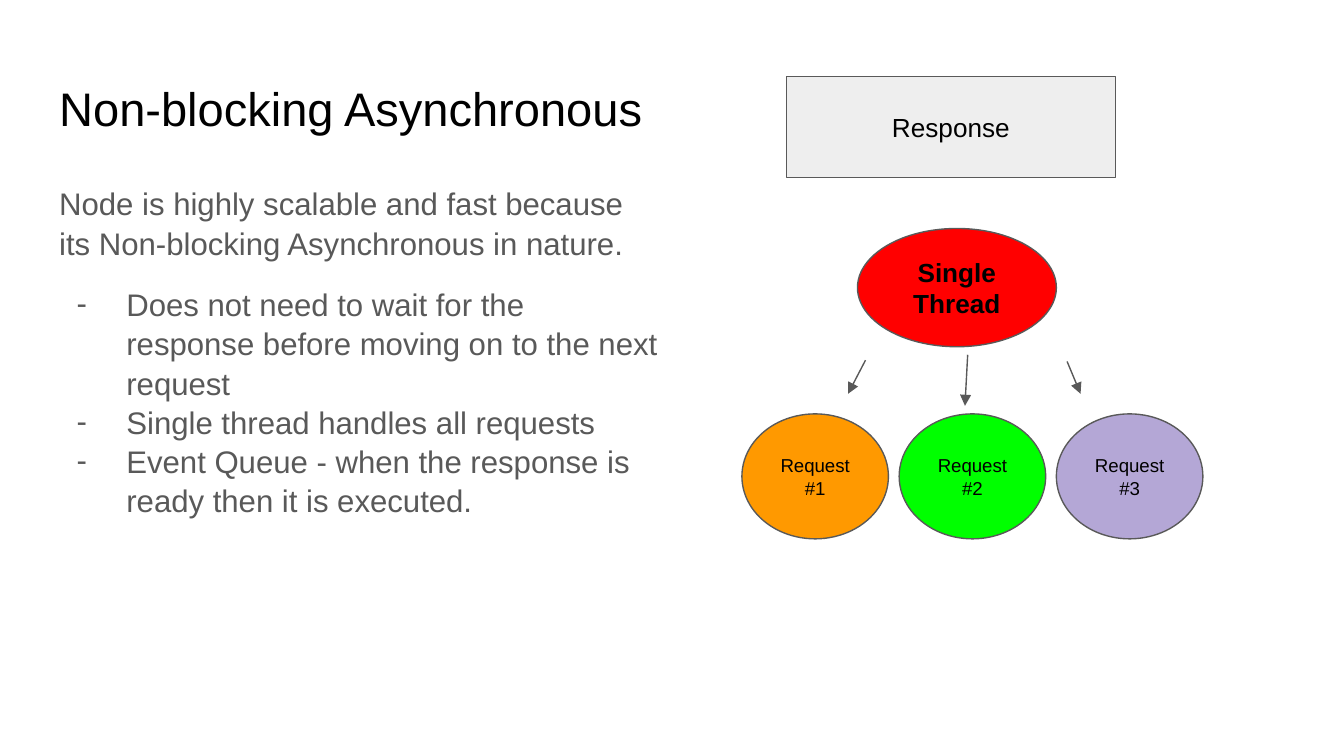
from lxml import etree
from pptx import Presentation
from pptx.dml.color import RGBColor
from pptx.enum.shapes import MSO_CONNECTOR, MSO_SHAPE
from pptx.enum.text import MSO_ANCHOR, MSO_AUTO_SIZE, PP_ALIGN
from pptx.oxml.ns import qn
from pptx.util import Inches, Pt

OVAL = MSO_SHAPE.OVAL
RECT = MSO_SHAPE.RECTANGLE
STRAIGHT = MSO_CONNECTOR.STRAIGHT
TOP = MSO_ANCHOR.TOP
MIDDLE = MSO_ANCHOR.MIDDLE
LEFT = PP_ALIGN.LEFT
CENTER = PP_ALIGN.CENTER
NO_FIT = MSO_AUTO_SIZE.NONE

BLACK = RGBColor(0x00, 0x00, 0x00)
GRAY = RGBColor(0x59, 0x59, 0x59)
PALE = RGBColor(0xEE, 0xEE, 0xEE)
RED = RGBColor(0xFF, 0x00, 0x00)
ORANGE = RGBColor(0xFF, 0x99, 0x00)
GREEN = RGBColor(0x00, 0xFF, 0x00)
PURPLE = RGBColor(0xB4, 0xA7, 0xD6)

INTRO = "Node is highly scalable and fast because its Non-blocking Asynchronous in nature."
POINTS = [
    "Does not need to wait for the response before moving on to the next request",
    "Single thread handles all requests",
    "Event Queue - when the response is ready then it is executed.",
]
ARROWS = [
    (6.44, 2.68, 6.31, 2.93),
    (7.2, 2.64, 7.18, 3.02),
    (7.94, 2.69, 8.04, 2.93),
]


def set_font(para, size, color, bold=False):
    font = para.font
    font.name = "Arial"
    font.size = Pt(size)
    font.bold = bold
    font.color.rgb = color


def set_frame(frame, anchor):
    frame.word_wrap = True
    frame.auto_size = NO_FIT
    frame.vertical_anchor = anchor
    frame.margin_left = frame.margin_right = Inches(0.1)
    frame.margin_top = frame.margin_bottom = Inches(0.1)


def place(shape, left, top, width, height):
    shape.left, shape.top = Inches(left), Inches(top)
    shape.width, shape.height = Inches(width), Inches(height)


def set_bullet(para, mark):
    props = para._p.get_or_add_pPr()
    props.set("marL", str(Inches(0.5) if mark else 0))
    props.set("indent", str(Inches(-0.37) if mark else 0))
    if mark:
        etree.SubElement(props, qn("a:buChar"), char=mark)
    else:
        etree.SubElement(props, qn("a:buNone"))


def add_title(slide, text):
    title = slide.shapes.title
    place(title, 0.34, 0.49, 9.32, 0.63)
    set_frame(title.text_frame, TOP)
    title.text_frame.text = text
    para = title.text_frame.paragraphs[0]
    para.alignment = LEFT
    set_font(para, 25.2, BLACK)


def add_body(slide, intro, points):
    body = slide.placeholders[1]
    place(body, 0.34, 1.26, 4.66, 3.74)
    frame = body.text_frame
    set_frame(frame, TOP)
    frame.text = "\n".join([intro, *points])
    for i, para in enumerate(frame.paragraphs):
        set_bullet(para, "-" if i else None)
        para.line_spacing = 1.05
        para.space_before = Pt(12 if i == 1 else 0)
        set_font(para, 16.7, GRAY)


def add_node(slide, kind, box, fill, text, size, bold=False):
    node = slide.shapes.add_shape(kind, *map(Inches, box))
    node.shadow.inherit = False
    node.fill.solid()
    node.fill.fore_color.rgb = fill
    node.line.color.rgb = GRAY
    node.line.width = Pt(0.75)
    set_frame(node.text_frame, MIDDLE)
    node.text_frame.text = text
    for para in node.text_frame.paragraphs:
        para.alignment = CENTER
        set_font(para, size, BLACK, bold)


def add_arrow(slide, ends):
    arrow = slide.shapes.add_connector(STRAIGHT, *map(Inches, ends))
    arrow.line.color.rgb = GRAY
    arrow.line.width = Pt(0.75)
    etree.SubElement(arrow.line._get_or_add_ln(), qn("a:tailEnd"), type="triangle")
    etree.SubElement(arrow._element.spPr, qn("a:effectLst"))


def main():
    deck = Presentation()
    deck.slide_width = Inches(10)
    deck.slide_height = Inches(10 * 9 / 16)
    slide = deck.slides.add_slide(deck.slide_layouts[1])
    add_title(slide, "Non-blocking Asynchronous")
    add_body(slide, INTRO, POINTS)
    add_node(slide, OVAL, (6.38, 1.7, 1.48, 0.88), RED, "Single\nThread", 14, True)
    for i, fill in enumerate([ORANGE, GREEN, PURPLE]):
        box = (5.52 + 1.17 * i, 3.08, 1.09, 0.93)
        add_node(slide, OVAL, box, fill, f"Request\n#{i + 1}", 10)
    add_node(slide, RECT, (5.85, 0.57, 2.45, 0.75), PALE, "Response", 14)
    for ends in ARROWS:
        add_arrow(slide, ends)
    deck.save("out.pptx")


if __name__ == "__main__":
    main()
